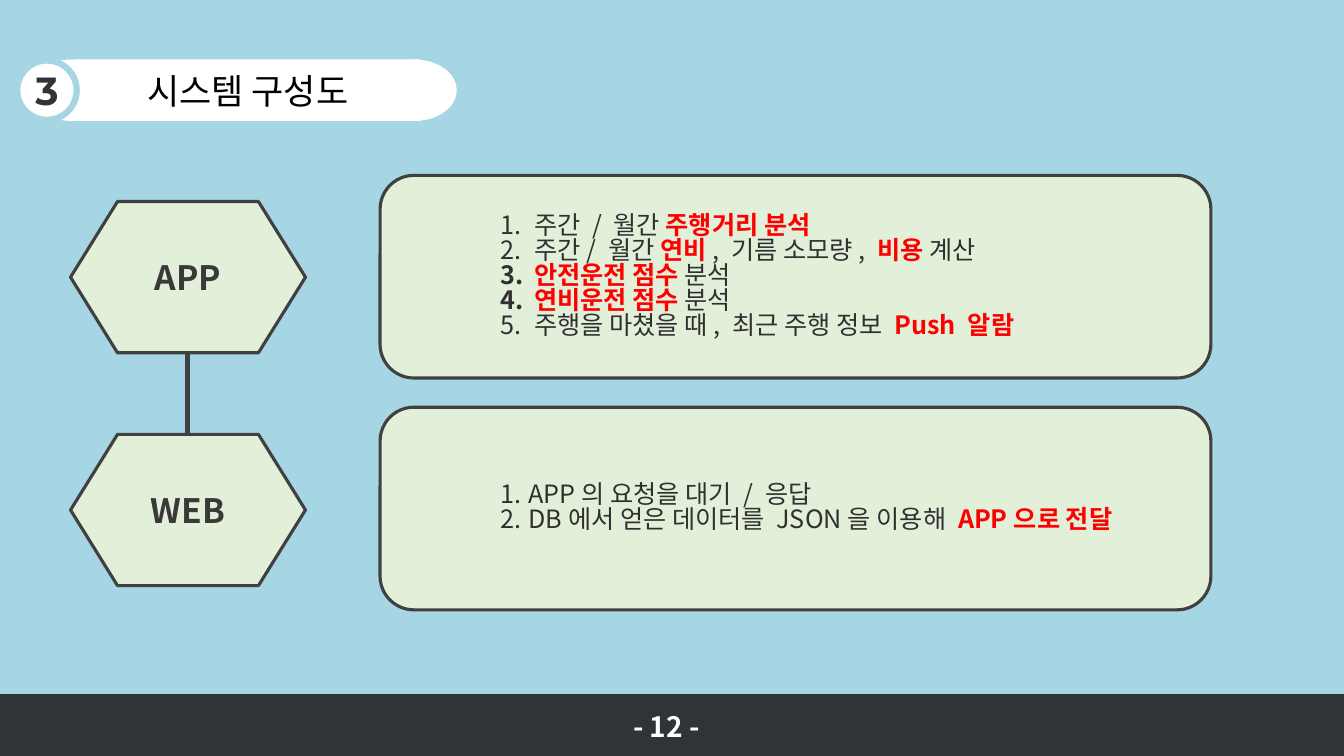
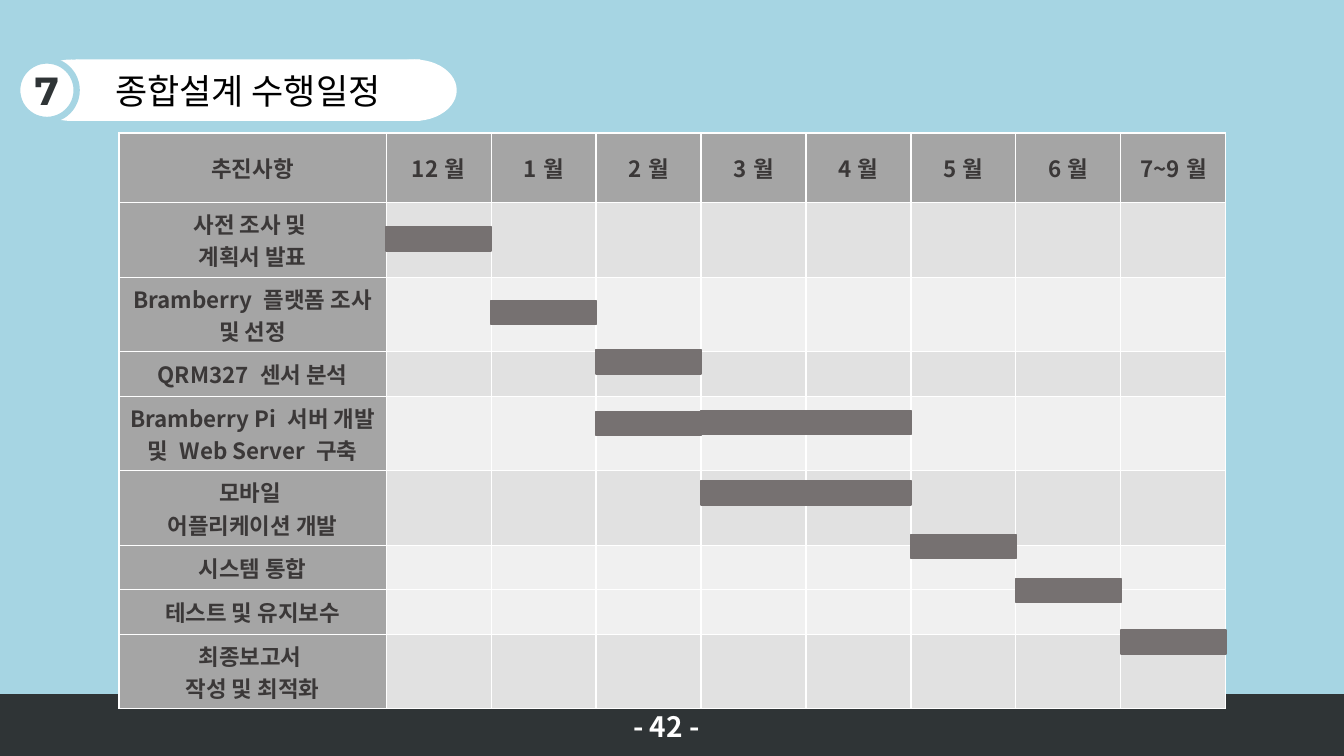
from dataclasses import dataclass

import lxml.etree
import pptx
import pptx.dml.color
import pptx.enum.shapes
import pptx.enum.text
import pptx.oxml
import pptx.oxml.ns
import pptx.util

Inches, Pt = pptx.util.Inches, pptx.util.Pt
SHAPE = pptx.enum.shapes.MSO_SHAPE
ALIGN = pptx.enum.text.PP_ALIGN
qn = pptx.oxml.ns.qn

COLORS = {
    "sky": "A6D5E3", "dark": "2F3436", "white": "FFFFFF", "black": "000000",
    "mint": "E2F0D9", "outline": "404040", "label": "3B3838", "body": "303030",
    "accent": "FF0000", "bar": "767171", "header": "A5A5A5",
    "band": "E1E1E1", "plain": "F0F0F0",
}
KOREAN = "Noto Sans CJK KR"
LATIN = "Montserrat"


@dataclass(frozen=True)
class Key:
    """A highlighted part of a list item."""
    text: str


@dataclass(frozen=True)
class Part:
    name: str
    top: float
    card_top: float
    indent: float
    items: list


@dataclass(frozen=True)
class Task:
    lines: list
    height: float
    fill: str
    first_month: int
    bar_tops: list


PARTS = [
    Part("APP", 2, 1.74, 0.33, [
        ["주간 / 월간 ", Key("주행거리 분석")],
        ["주간/ 월간 ", Key("연비"), ", 기름 소모량, ", Key("비용"), " 계산"],
        [Key("안전운전 점수 "), "분석"],
        [Key("연비운전 점수"), " 분석"],
        ["주행을 마쳤을 때, 최근 주행 정보 ", Key("Push 알람")],
    ]),
    Part("WEB", 4.31, 4.04, 0.27, [
        ["APP의 요청을 대기 / 응답"],
        ["DB에서 얻은 데이터를 JSON을 이용해 ", Key("APP으로 전달")],
    ]),
]

MONTHS = ["12월", "1월", "2월", "3월", "4월", "5월", "6월", "7~9월"]
TALL, SHORT = 0.69, 0.44
TASKS = [
    Task(["사전 조사 및 ", "계획서 발표"], TALL, "band", 0, [2.25]),
    Task(["Bramberry 플랫폼 조사 및 선정"], TALL, "plain", 1, [2.98]),
    Task(["QRM327 센서 분석"], SHORT, "band", 2, [3.47]),
    Task(["Bramberry Pi 서버 개발 및 Web Server 구축"], TALL, "plain", 2,
         [4.08, 4.07, 4.07]),
    Task(["모바일 ", "어플리케이션 개발"], TALL, "band", 3, [4.77, 4.77]),
    Task(["시스템 통합"], SHORT, "plain", 5, [5.3]),
    Task(["테스트 및 유지보수"], SHORT, "plain", 6, [5.74]),
    Task(["최종보고서 ", "작성 및 최적화"], TALL, "band", 7, [6.25]),
]


def rgb(name: str):
    return pptx.dml.color.RGBColor.from_string(COLORS[name])


def paint(shape, fill: str, line: str = "", width: float = 1) -> None:
    shape.fill.solid()
    shape.fill.fore_color.rgb = rgb(fill)
    if line:
        shape.line.color.rgb = rgb(line)
        shape.line.width = Pt(width)
    else:
        shape.line.fill.background()


def place(shape, left: float, top: float, width: float, height: float) -> None:
    shape.left, shape.top = Inches(left), Inches(top)
    shape.width, shape.height = Inches(width), Inches(height)


def write(frame, paragraphs: list, *, size: float, color: str, bold: bool = False,
          font: str = KOREAN, align=ALIGN.CENTER) -> None:
    """Fill a text frame; each paragraph is a list of strings and Keys."""
    for index, pieces in enumerate(paragraphs):
        paragraph = frame.add_paragraph() if index else frame.paragraphs[0]
        paragraph.alignment = align
        for piece in pieces:
            is_key = isinstance(piece, Key)
            run = paragraph.add_run()
            run.text = piece.text if is_key else piece
            run.font.size = Pt(size)
            run.font.name = font
            run.font.bold = bold or is_key
            run.font.color.rgb = rgb("accent" if is_key else color)
            east_asian = lxml.etree.SubElement(run.font._element, qn("a:ea"))
            east_asian.set("typeface", font)


def add_box(slide, kind, left: float, top: float, width: float, height: float,
            fill: str, line: str = "", line_width: float = 1):
    box = slide.shapes.add_shape(kind, Inches(left), Inches(top),
                                 Inches(width), Inches(height))
    box.shadow.inherit = False
    paint(box, fill, line, line_width)
    return box


def center_frame(shape, margin: float):
    frame = shape.text_frame
    frame.word_wrap = True
    frame.auto_size = pptx.enum.text.MSO_AUTO_SIZE.NONE
    frame.vertical_anchor = pptx.enum.text.MSO_ANCHOR.MIDDLE
    frame.margin_left = frame.margin_right = Inches(margin)
    frame.margin_top = frame.margin_bottom = Inches(margin / 2)
    return frame


def bring_to_front(shape) -> None:
    shape.element.getparent().append(shape.element)


def add_heading(slide, number: str, heading: str) -> None:
    for left in (3.69, 0.29):
        add_box(slide, SHAPE.OVAL, left, 0.59, 0.84, 0.61, "white")
    title = slide.shapes.title
    place(title, 0.75, 0.59, 3.42, 0.61)
    paint(title, "white")
    write(center_frame(title, 0.1), [[heading]], size=25, color="black")
    bring_to_front(title)
    badge = add_box(slide, SHAPE.OVAL, 0.17, 0.6, 0.59, 0.59, "white", "sky", 4.5)
    write(center_frame(badge, 0), [[number]], size=28, color="dark", bold=True,
          font=LATIN)


def add_footer_band(slide) -> None:
    add_box(slide, SHAPE.RECTANGLE, 0, 6.89, 13.33, 0.61, "dark", "dark")


def add_page_number(slide, page: int) -> None:
    label = slide.shapes.add_textbox(Inches(6.18), Inches(6.99),
                                     Inches(0.98), Inches(0.44))
    label.text_frame.word_wrap = True
    write(label.text_frame, [[f"- {page} -"]], size=20, color="white", bold=True,
          align=ALIGN.LEFT)


def number_items(frame, indent: float) -> None:
    """Number the paragraphs, with the numbers one inch in from the margin."""
    for paragraph in frame.paragraphs:
        paragraph.space_before = Pt(0)
        paragraph.line_spacing = 0.83
        properties = paragraph._p.get_or_add_pPr()
        properties.set("marL", str(Inches(1 + indent)))
        properties.set("indent", str(-Inches(indent)))
        bullet_color = lxml.etree.SubElement(properties, qn("a:buClr"))
        lxml.etree.SubElement(bullet_color, qn("a:srgbClr")).set("val", COLORS["body"])
        lxml.etree.SubElement(properties, qn("a:buFont")).set("typeface", KOREAN)
        lxml.etree.SubElement(properties, qn("a:buAutoNum")).set("type", "arabicPeriod")


def add_part(slide, part: Part, card) -> None:
    hexagon = add_box(slide, SHAPE.FLOWCHART_PREPARATION, 0.7, part.top, 2.33, 1.5,
                      "mint", "outline", 2.25)
    write(center_frame(hexagon, 0.1), [[part.name]], size=24, color="label", bold=True)
    place(card, 3.77, part.card_top, 8.24, 2.01)
    outline = lxml.etree.SubElement(card.element.spPr, qn("a:prstGeom"))
    outline.set("prst", "roundRect")
    lxml.etree.SubElement(outline, qn("a:avLst"))
    paint(card, "mint", "outline", 2.25)
    frame = center_frame(card, 0.1)
    write(frame, part.items, size=18, color="body", align=ALIGN.LEFT)
    number_items(frame, part.indent)
    bring_to_front(card)


def build_structure(deck) -> None:
    slide = deck.slides.add_slide(deck.slide_layouts.get_by_name("Two Content"))
    add_footer_band(slide)
    add_heading(slide, "3", "시스템 구성도")
    link = slide.shapes.add_connector(pptx.enum.shapes.MSO_CONNECTOR.STRAIGHT,
                                      Inches(1.86), Inches(3.5),
                                      Inches(1.86), Inches(4.31))
    link.line.color.rgb = rgb("outline")
    link.line.width = Pt(3)
    lxml.etree.SubElement(link._element.spPr, qn("a:effectLst"))
    cards = [slide.placeholders[1], slide.placeholders[2]]
    for part, card in zip(PARTS, cards):
        add_part(slide, part, card)
    add_page_number(slide, 12)


def fill_cell(cell, lines: list, fill: str) -> None:
    cell.fill.solid()
    cell.fill.fore_color.rgb = rgb(fill)
    cell.vertical_anchor = pptx.enum.text.MSO_ANCHOR.MIDDLE
    write(cell.text_frame, [[line] for line in lines], size=16, color="label", bold=True)


def build_schedule(deck) -> None:
    left, top, label_width = 1.18, 1.32, 2.65
    month_width = (10.98 - label_width) / len(MONTHS)
    slide = deck.slides.add_slide(deck.slide_layouts.get_by_name("Title Only"))
    add_footer_band(slide)
    schedule = slide.shapes.add_table(len(TASKS) + 1, len(MONTHS) + 1, Inches(left),
                                      Inches(top), Inches(10.98), Inches(5.43)).table
    for index, column in enumerate(schedule.columns):
        column.width = Inches(month_width if index else label_width)
    schedule.rows[0].height = Inches(TALL)
    for column, heading in enumerate(["추진사항", *MONTHS]):
        fill_cell(schedule.cell(0, column), [heading], "header")
    for row, task in enumerate(TASKS, start=1):
        schedule.rows[row].height = Inches(task.height)
        fill_cell(schedule.cell(row, 0), task.lines, "header")
        for column in range(1, len(MONTHS) + 1):
            fill_cell(schedule.cell(row, column), [], task.fill)
    for task in TASKS:
        for month, bar_top in enumerate(task.bar_tops, start=task.first_month):
            add_box(slide, SHAPE.RECTANGLE, left + label_width + month * month_width,
                    bar_top, month_width, 0.24, "bar", "bar")
    add_heading(slide, "7", "종합설계 수행일정")
    add_page_number(slide, 42)


def main() -> None:
    deck = pptx.Presentation()
    deck.slide_width, deck.slide_height = Inches(13.33), Inches(7.5)
    backdrop = deck.slide_master.background.fill
    backdrop.solid()
    backdrop.fore_color.rgb = rgb("sky")
    build_structure(deck)
    build_schedule(deck)
    deck.save("out.pptx")


if __name__ == "__main__":
    main()
